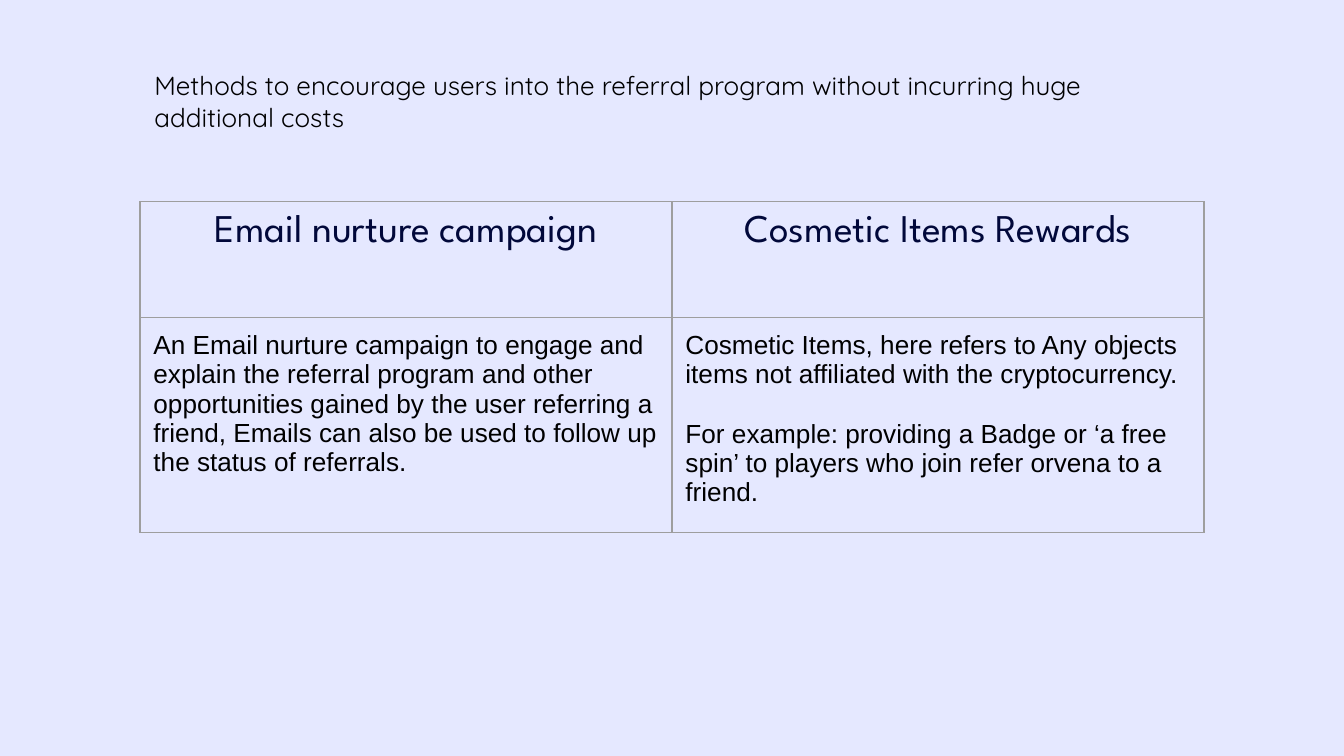
from dataclasses import dataclass

from lxml import etree
from pptx import Presentation
from pptx.dml.color import RGBColor
from pptx.enum.text import MSO_AUTO_SIZE as AutoSize, PP_ALIGN as Align
from pptx.oxml.ns import qn
from pptx.table import _Cell as Cell
from pptx.text.text import TextFrame
from pptx.util import Pt

BACKGROUND, INK, NAVY, BORDER = "E5E8FF", "000000", "01083A", "9E9E9E"
INSET = 7.2
COLUMN_WIDTH = 285
HEADING_HEIGHT, DETAIL_HEIGHT = 62, 115.2


@dataclass
class Method:
    heading: str
    details: list[str]


METHODS = [
    Method("Email nurture campaign", [
        "An Email nurture campaign to engage and explain the referral program "
        "and other opportunities gained by the user referring a friend, Emails "
        "can also be used to follow up the status of referrals.",
    ]),
    Method("Cosmetic Items Rewards", [
        "Cosmetic Items, here refers to Any objects items not affiliated with "
        "the cryptocurrency.",
        "For example: providing a Badge or ‘a free spin’ to players who join "
        "refer orvena to a friend.",
    ]),
]


def rgb(value: str) -> RGBColor:
    return RGBColor.from_string(value)


def write(frame: TextFrame, *paragraphs: str, font: str = "Arial", size: float = 14,
          color: str = INK, align: Align = Align.LEFT, gap: float = 0) -> None:
    for index, text in enumerate(paragraphs):
        paragraph = frame.add_paragraph() if index else frame.paragraphs[0]
        paragraph.alignment = align
        if index:
            paragraph.space_before = Pt(gap)
        run = paragraph.add_run()
        run.text = text
        run.font.name = font
        run.font.size = Pt(size)
        run.font.color.rgb = rgb(color)


def style_cell(cell: Cell) -> None:
    cell.margin_left = cell.margin_right = Pt(INSET)
    cell.margin_top = cell.margin_bottom = Pt(INSET)
    properties = cell._tc.get_or_add_tcPr()
    for side in ("a:lnL", "a:lnR", "a:lnT", "a:lnB"):
        line = etree.SubElement(properties, qn(side), w=str(Pt(0.75)))
        fill = etree.SubElement(line, qn("a:solidFill"))
        etree.SubElement(fill, qn("a:srgbClr"), val=BORDER)
    cell.fill.background()


def main() -> None:
    deck = Presentation()
    deck.slide_width, deck.slide_height = Pt(720), Pt(405)
    slide = deck.slides.add_slide(deck.slide_layouts[6])
    slide.background.fill.solid()
    slide.background.fill.fore_color.rgb = rgb(BACKGROUND)

    # Introduction
    intro = slide.shapes.add_textbox(Pt(75.6), Pt(30.2), Pt(539.3), Pt(48.2)).text_frame
    intro.word_wrap = True
    intro.auto_size = AutoSize.SHAPE_TO_FIT_TEXT
    intro.margin_left = intro.margin_right = Pt(INSET)
    intro.margin_top = intro.margin_bottom = Pt(INSET)
    write(intro, "Methods to encourage users into the referral program without "
                 "incurring huge additional costs", font="Quicksand")

    # Methods, one per column
    methods_table = slide.shapes.add_table(
        2, len(METHODS), Pt(75), Pt(108), Pt(COLUMN_WIDTH * len(METHODS)),
        Pt(HEADING_HEIGHT + DETAIL_HEIGHT)).table
    methods_table.first_row = methods_table.horz_banding = False
    methods_table.rows[0].height = Pt(HEADING_HEIGHT)
    methods_table.rows[1].height = Pt(DETAIL_HEIGHT)
    for column, method in enumerate(METHODS):
        methods_table.columns[column].width = Pt(COLUMN_WIDTH)
        heading, details = (methods_table.cell(row, column) for row in range(2))
        style_cell(heading)
        style_cell(details)
        write(heading.text_frame, method.heading, font="League Spartan", size=21,
              color=NAVY, align=Align.CENTER)
        write(details.text_frame, *method.details, gap=16)

    deck.save("out.pptx")


if __name__ == "__main__":
    main()
